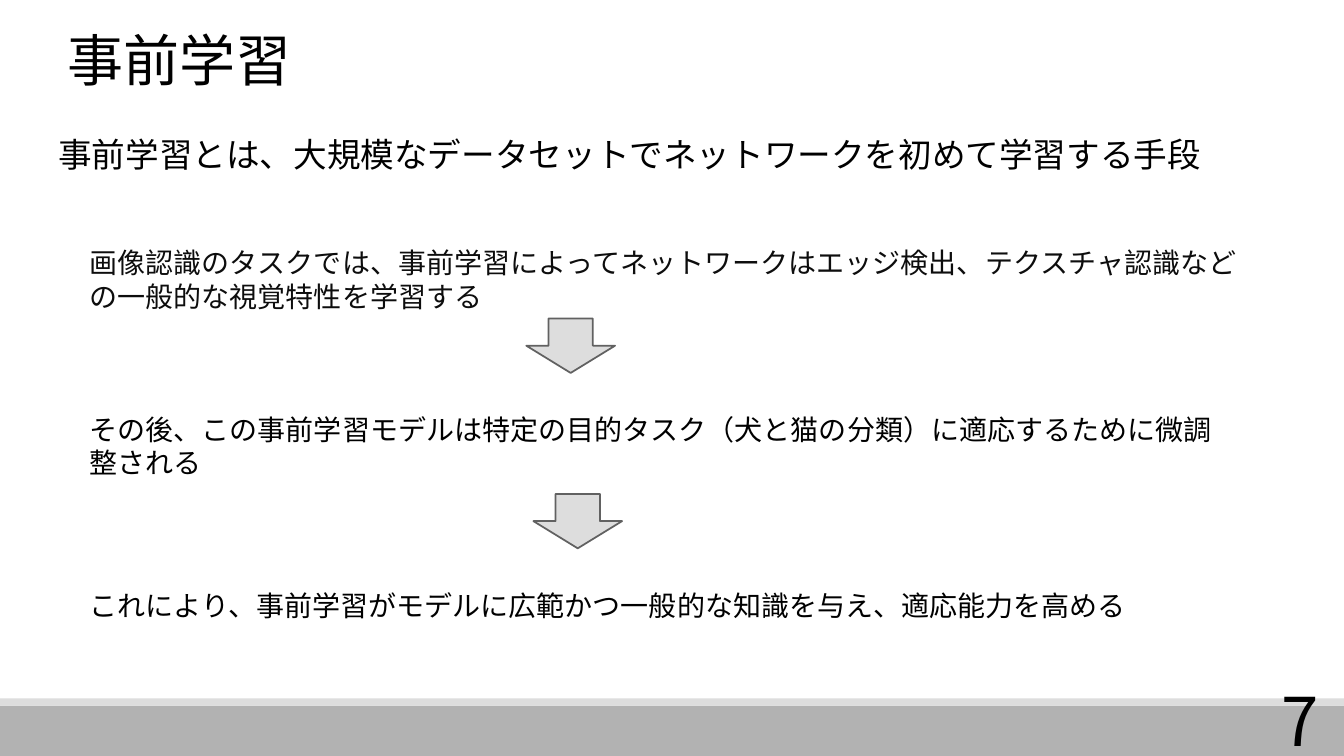
from dataclasses import dataclass

from pptx import Presentation
from pptx.dml.color import RGBColor
from pptx.enum.shapes import MSO_SHAPE
from pptx.enum.text import MSO_ANCHOR, PP_ALIGN
from pptx.oxml.ns import qn
from pptx.util import Inches, Pt

RECTANGLE = MSO_SHAPE.RECTANGLE
DOWN_ARROW = MSO_SHAPE.DOWN_ARROW
TOP, MIDDLE = MSO_ANCHOR.TOP, MSO_ANCHOR.MIDDLE
LEFT, RIGHT = PP_ALIGN.LEFT, PP_ALIGN.RIGHT


@dataclass(frozen=True)
class Theme:
    font: str = "Noto Sans CJK JP"
    black: str = "000000"
    soft_black: str = "0D0D0D"
    band: str = "B2B2B2"
    light: str = "DDDDDD"
    outline: str = "616161"
    title_size: int = 40
    lead_size: int = 24
    step_size: int = 20
    number_size: int = 48


def write_text(frame, text, *, theme, size, color, align=LEFT, anchor=TOP):
    frame.word_wrap = True
    frame.vertical_anchor = anchor
    paragraph = frame.paragraphs[0]
    paragraph.alignment = align
    run = paragraph.add_run()
    run.text = text
    run.font.name = theme.font
    run.font.size = Pt(size)
    run.font.color.rgb = RGBColor.from_string(color)
    # Japanese glyphs take the East Asian typeface
    east_asian = run.font._element.makeelement(qn("a:ea"), {"typeface": theme.font})
    run.font._element.append(east_asian)


class SlideBuilder:
    def __init__(self, slide, theme):
        self.slide = slide
        self.theme = theme

    def text(self, text, left, top, width, height, **style):
        box = self.slide.shapes.add_textbox(
            Inches(left), Inches(top), Inches(width), Inches(height))
        write_text(box.text_frame, text, theme=self.theme, **style)

    def shape(self, kind, left, top, width, height, fill, outline=None):
        shape = self.slide.shapes.add_shape(
            kind, Inches(left), Inches(top), Inches(width), Inches(height))
        shape.shadow.inherit = False
        shape.fill.solid()
        shape.fill.fore_color.rgb = RGBColor.from_string(fill)
        if outline:
            shape.line.color.rgb = RGBColor.from_string(outline)
            shape.line.width = Pt(1.25)
        else:
            shape.line.fill.background()

    def arrow(self, left, top):
        self.shape(DOWN_ARROW, left, top, 0.88, 0.54,
                   self.theme.light, self.theme.outline)


def main():
    theme = Theme()
    presentation = Presentation()
    presentation.slide_width = Inches(13.33)
    presentation.slide_height = Inches(7.5)
    slide = presentation.slides.add_slide(presentation.slide_layouts[6])
    builder = SlideBuilder(slide, theme)

    # Footer band
    builder.shape(RECTANGLE, 0, 7, 13.33, 0.5, theme.band)
    builder.shape(RECTANGLE, 0, 6.93, 13.33, 0.07, theme.light)

    # Title and definition
    builder.text("事前学習", 0.57, 0.2, 11.06, 0.77,
                 size=theme.title_size, color=theme.black)
    builder.text("事前学習とは、大規模なデータセットでネットワークを初めて学習する手段",
                 0.48, 1.28, 12.37, 0.5, size=theme.lead_size, color=theme.black)

    # Steps from pre-training to its benefit
    steps = [
        ("画像認識のタスクでは、事前学習によってネットワークはエッジ検出、"
         "テクスチャ認識などの一般的な視覚特性を学習する",
         2.39, 11.67, 0.77, theme.soft_black),
        ("その後、この事前学習モデルは特定の目的タスク（犬と猫の分類）に"
         "適応するために微調整される",
         4.04, 11.58, 0.77, theme.black),
        ("これにより、事前学習がモデルに広範かつ一般的な知識を与え、適応能力を高める",
         5.79, 11.58, 0.44, theme.black),
    ]
    for step, top, width, height, color in steps:
        builder.text(step, 0.79, top, width, height,
                     size=theme.step_size, color=color)

    # Arrows between the steps
    for left, top in [(5.22, 3.16), (5.29, 4.9)]:
        builder.arrow(left, top)

    # Slide number
    builder.text("7", 11.75, 6.94, 1.43, 0.4, size=theme.number_size,
                 color=theme.black, align=RIGHT, anchor=MIDDLE)

    presentation.save("out.pptx")


if __name__ == "__main__":
    main()
